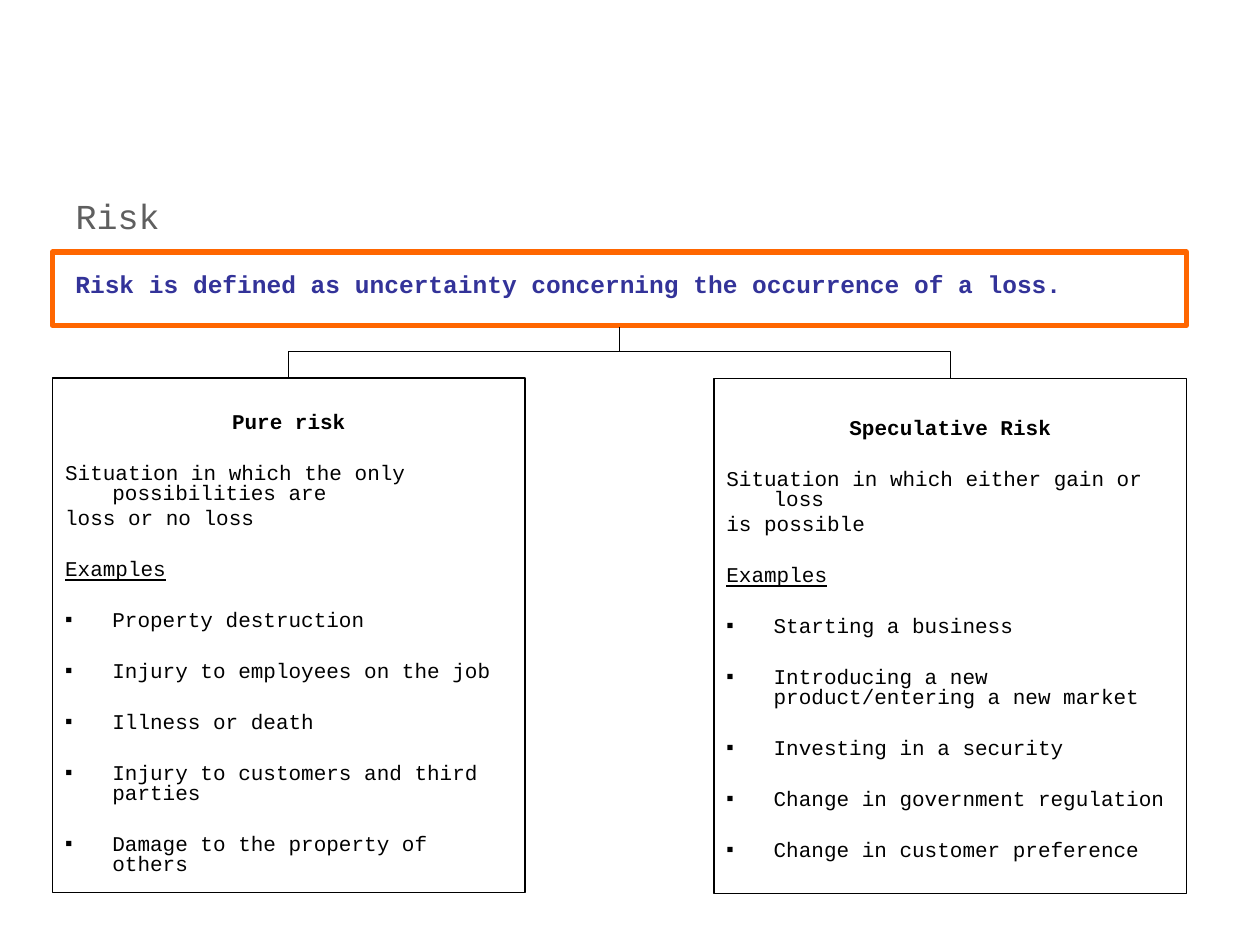
import pptx
import pptx.util
import pptx.dml.color
import pptx.enum.shapes
import pptx.enum.text
import pptx.oxml.ns
from lxml import etree

Pt = pptx.util.Pt
PP_ALIGN = pptx.enum.text.PP_ALIGN
ANCHOR = pptx.enum.text.MSO_ANCHOR
qn = pptx.oxml.ns.qn


def rgb(value):
    return pptx.dml.color.RGBColor.from_string(value)


def style(p, size, color, bold=False):
    f = p.runs[0].font
    f.name, f.size, f.bold = "Courier New", Pt(size), bold
    f.color.rgb = rgb(color)


prs = pptx.Presentation()
prs.slide_width, prs.slide_height = Pt(720), Pt(540)
s = prs.slides.add_slide(prs.slide_layouts[1])

# Title
title = s.shapes.title
title.left, title.top, title.width, title.height = Pt(36), Pt(78), Pt(648), Pt(90)
tf = title.text_frame
tf.text = "Risk"
tf.vertical_anchor = ANCHOR.MIDDLE
tf.paragraphs[0].alignment = PP_ALIGN.LEFT
style(tf.paragraphs[0], 20, "5F5F5F")

# Definition and its frame
tb = s.shapes.add_textbox(Pt(36), Pt(150), Pt(648), Pt(24))
tf = tb.text_frame
tf.word_wrap = True
tf.text = "Risk is defined as uncertainty concerning the occurrence of a loss."
style(tf.paragraphs[0], 14, "333399", bold=True)

RECT = pptx.enum.shapes.MSO_SHAPE.RECTANGLE
frame = s.shapes.add_shape(RECT, Pt(30), Pt(144), Pt(648), Pt(42))
frame.shadow.inherit = False
frame.fill.background()
frame.line.color.rgb = rgb("FF6600")
frame.line.width = Pt(3)

# The two kinds of risk: box, left, top, top inset, heading, definition, examples
speculative = s.shapes.add_shape(RECT, 0, 0, 0, 0)
speculative.shadow.inherit = False
kinds = [
    (s.placeholders[1], 30, 216, 20, "Pure risk",
     ["Situation in which the only possibilities are", "loss or no loss"],
     ["Property destruction", "Injury to employees on the job", "Illness or death",
      "Injury to customers and third parties", "Damage to the property of others"]),
    (speculative, 408, 216.5, 23, "Speculative Risk",
     ["Situation in which either gain or loss", "is possible"],
     ["Starting a business", "Introducing a new product/entering a new market",
      "Investing in a security", "Change in government regulation",
      "Change in customer preference"]),
]
for box, left, top, inset, heading, definition, examples in kinds:
    box.left, box.top, box.width, box.height = Pt(left), Pt(top), Pt(270), Pt(294)
    box.fill.background()
    box.line.color.rgb = rgb("000000")
    box.line.width = Pt(0.75)
    tf = box.text_frame
    tf.word_wrap = True
    tf.auto_size = pptx.enum.text.MSO_AUTO_SIZE.NONE
    tf.vertical_anchor = ANCHOR.TOP
    tf.margin_top = Pt(inset)
    lines = [heading, *definition, "Examples", *examples]
    tf.text = "\n".join(lines)
    for i, p in enumerate(tf.paragraphs):
        style(p, 12, "000000", bold=i == 0)
        p.alignment = PP_ALIGN.CENTER if i == 0 else PP_ALIGN.LEFT
        p.line_spacing = 0.8
        # The definition's second line stays close to its first
        p.space_before = Pt({0: 0, 2: 3}.get(i, 17.6))
        p.runs[0].font.underline = lines[i] == "Examples"
        pPr = p._p.get_or_add_pPr()
        pPr.set("marL", str(Pt(27)))
        pPr.set("indent", str(-Pt(27)))
        if lines[i] in examples:
            clr = etree.SubElement(pPr, qn("a:buClr"))
            etree.SubElement(clr, qn("a:srgbClr"), val="000000")
            etree.SubElement(pPr, qn("a:buFont"), typeface="Arial")
            etree.SubElement(pPr, qn("a:buChar"), char="▪")
        else:
            etree.SubElement(pPr, qn("a:buNone"))

# Elbow connectors, turned so that they leave the frame downwards
start_x, start_y = 354, 187
for end_x, end_y, turn in [(165, 216, 90), (543, 216.5, 270)]:
    drop, span = end_y - start_y, abs(end_x - start_x)
    x = (start_x + end_x - drop) / 2
    y = (start_y + end_y - span) / 2
    x1, x2 = (x, x + drop) if turn == 90 else (x + drop, x)
    c = s.shapes.add_connector(pptx.enum.shapes.MSO_CONNECTOR.ELBOW,
                               Pt(x1), Pt(y), Pt(x2), Pt(y + span))
    c.line.color.rgb = rgb("000000")
    c.line.width = Pt(0.75)
    spPr = c._element.spPr
    spPr.find(qn("a:xfrm")).set("rot", str(turn * 60000))
    av = spPr.find(qn("a:prstGeom")).get_or_add_avLst()
    etree.SubElement(av, qn("a:gd"), name="adj1", fmla="val 47300")
    etree.SubElement(spPr, qn("a:effectLst"))

prs.save("out.pptx")
